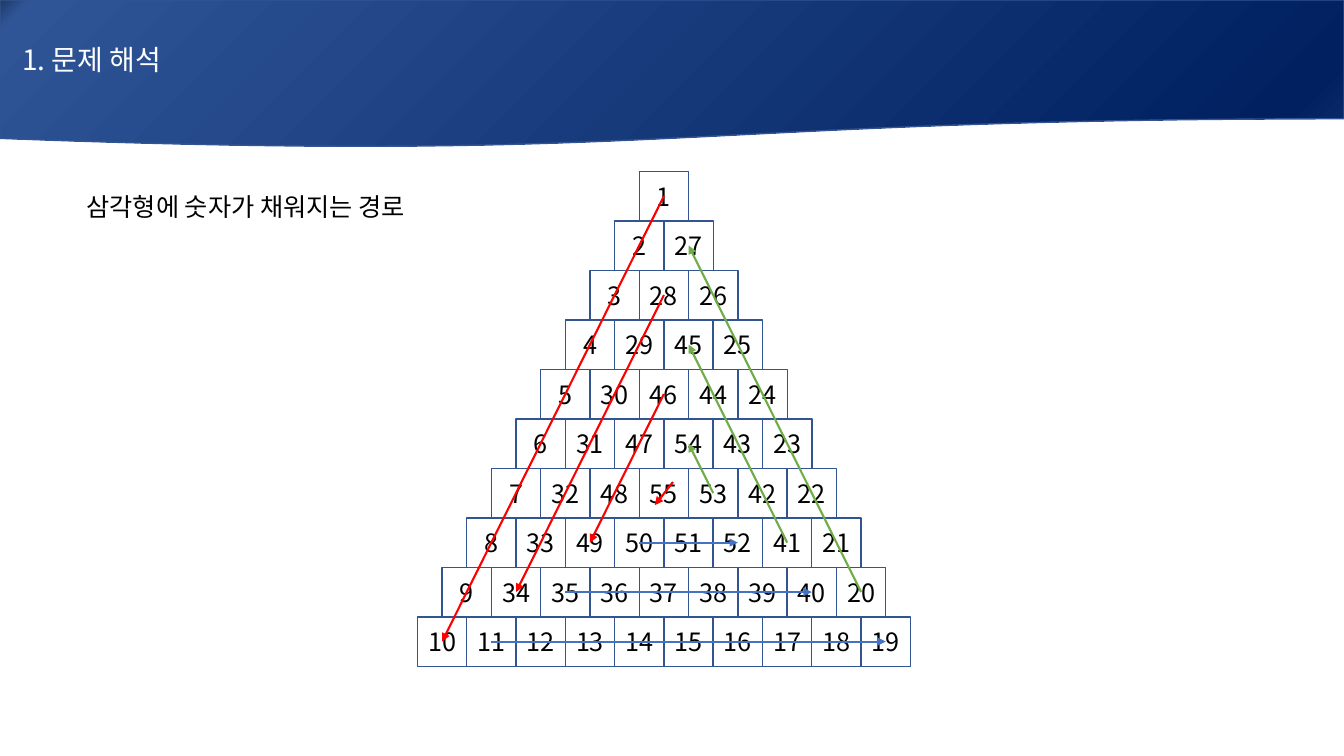
from lxml.etree import SubElement
from pptx import Presentation
from pptx.dml.color import RGBColor
from pptx.enum.shapes import MSO_CONNECTOR, MSO_SHAPE
from pptx.enum.text import MSO_ANCHOR, PP_ALIGN
from pptx.oxml.ns import qn
from pptx.util import Inches, Pt

FONT = "Noto Sans CJK KR"
COLORS = {
    "white": "FFFFFF", "black": "000000", "outline": "325491",
    "down": "FF0000", "right": "4472C4", "up": "70AD47",
}
BANNER_STOPS = [(0, "203864"), (2, "2F5597"), (94, "002060"), (100, "0D2E6F")]
STEPS = {"down": (1, 0), "right": (0, 1), "up": (-1, -1)}
ROWS = 10
CELL = 0.49


def color(name):
    return RGBColor.from_string(COLORS[name])


def write(shape, text, size, ink, align=PP_ALIGN.LEFT):
    frame = shape.text_frame
    frame.text = text
    frame.vertical_anchor = MSO_ANCHOR.MIDDLE
    para = frame.paragraphs[0]
    para.alignment = align
    para.font.name = FONT
    para.font.size = Pt(size)
    para.font.color.rgb = color(ink)
    for properties in shape.element.iter(qn("a:defRPr")):
        SubElement(properties, qn("a:ea"), typeface=FONT)


def outline(shape):
    shape.shadow.inherit = False
    shape.line.color.rgb = color("outline")
    shape.line.width = Pt(1)


def add_banner(page, left, top, width, height, text):
    banner = page.shapes.add_shape(
        MSO_SHAPE.FLOWCHART_DOCUMENT,
        Inches(left), Inches(top), Inches(width), Inches(height))
    outline(banner)
    banner.fill.gradient()
    banner.fill.gradient_angle = 315
    stops = next(banner.element.iter(qn("a:gsLst")))
    stops.clear()
    for percent, value in BANNER_STOPS:
        stop = SubElement(stops, qn("a:gs"), pos=str(percent * 1000))
        SubElement(stop, qn("a:srgbClr"), val=value)

    title = page.shapes.title
    title.left, title.top = Inches(left + 0.12), Inches(top)
    title.width, title.height = Inches(width - 0.24), Inches(height * 0.8)
    write(title, text, 20, "white")
    title.element.addprevious(banner.element)


def add_caption(page, left, top, width, height, text):
    caption = page.shapes.add_textbox(
        Inches(left), Inches(top), Inches(width), Inches(height))
    caption.text_frame.word_wrap = True
    write(caption, text, 18, "black")


def spiral_legs(rows):
    """Return (direction, cells) for each straight leg of the inward spiral."""
    directions = list(STEPS)
    row, column = -1, 0
    legs = []
    for turn in range(rows):
        direction = directions[turn % len(directions)]
        row_step, column_step = STEPS[direction]
        cells = []
        for _ in range(rows - turn):
            row, column = row + row_step, column + column_step
            cells.append((row, column))
        legs.append((direction, cells))
    return legs


def add_arrow(page, start, end, name):
    arrow = page.shapes.add_connector(
        MSO_CONNECTOR.STRAIGHT, *(Inches(value) for value in start + end))
    arrow.line.color.rgb = color(name)
    arrow.line.width = Pt(1.5)
    SubElement(arrow.line._get_or_add_ln(), qn("a:tailEnd"), type="triangle")
    SubElement(arrow.element.spPr, qn("a:effectLst"))


def add_triangle(page, left, top, width, height):
    row_pitch = (height - CELL) / (ROWS - 1)
    column_pitch = (width - CELL) / (ROWS - 1)

    def center(cell):
        row, column = cell
        return (left + width / 2 + (column - row / 2) * column_pitch,
                top + CELL / 2 + row * row_pitch)

    legs = spiral_legs(ROWS)
    path_cells = [cell for _, cells in legs for cell in cells]
    numbers = {cell: number for number, cell in enumerate(path_cells, 1)}
    group = page.shapes.add_group_shape()
    for cell in sorted(numbers):
        x, y = center(cell)
        square = group.shapes.add_shape(
            MSO_SHAPE.RECTANGLE, Inches(x - CELL / 2), Inches(y - CELL / 2),
            Inches(CELL), Inches(CELL))
        outline(square)
        square.fill.solid()
        square.fill.fore_color.rgb = color("white")
        frame = square.text_frame
        frame.margin_left = frame.margin_right = 0
        write(square, str(numbers[cell]), 18, "black", PP_ALIGN.CENTER)

    for direction, cells in legs:
        start, end = center(cells[0]), center(cells[-1])
        if len(cells) == 1:
            x, y = start
            start, end = (x + 0.09, y - 0.11), (x - 0.09, y + 0.12)
        add_arrow(page, start, end, direction)


def main():
    deck = Presentation()
    deck.slide_width, deck.slide_height = Inches(13.33), Inches(7.5)
    page = deck.slides.add_slide(deck.slide_layouts[5])
    add_banner(page, 0, 0, 13.33, 1.47, "1. 문제 해석")
    add_caption(page, 0.76, 1.85, 3.8, 0.4, "삼각형에 숫자가 채워지는 경로")
    add_triangle(page, 4.14, 1.7, 4.89, 4.91)
    deck.save("out.pptx")


if __name__ == "__main__":
    main()
